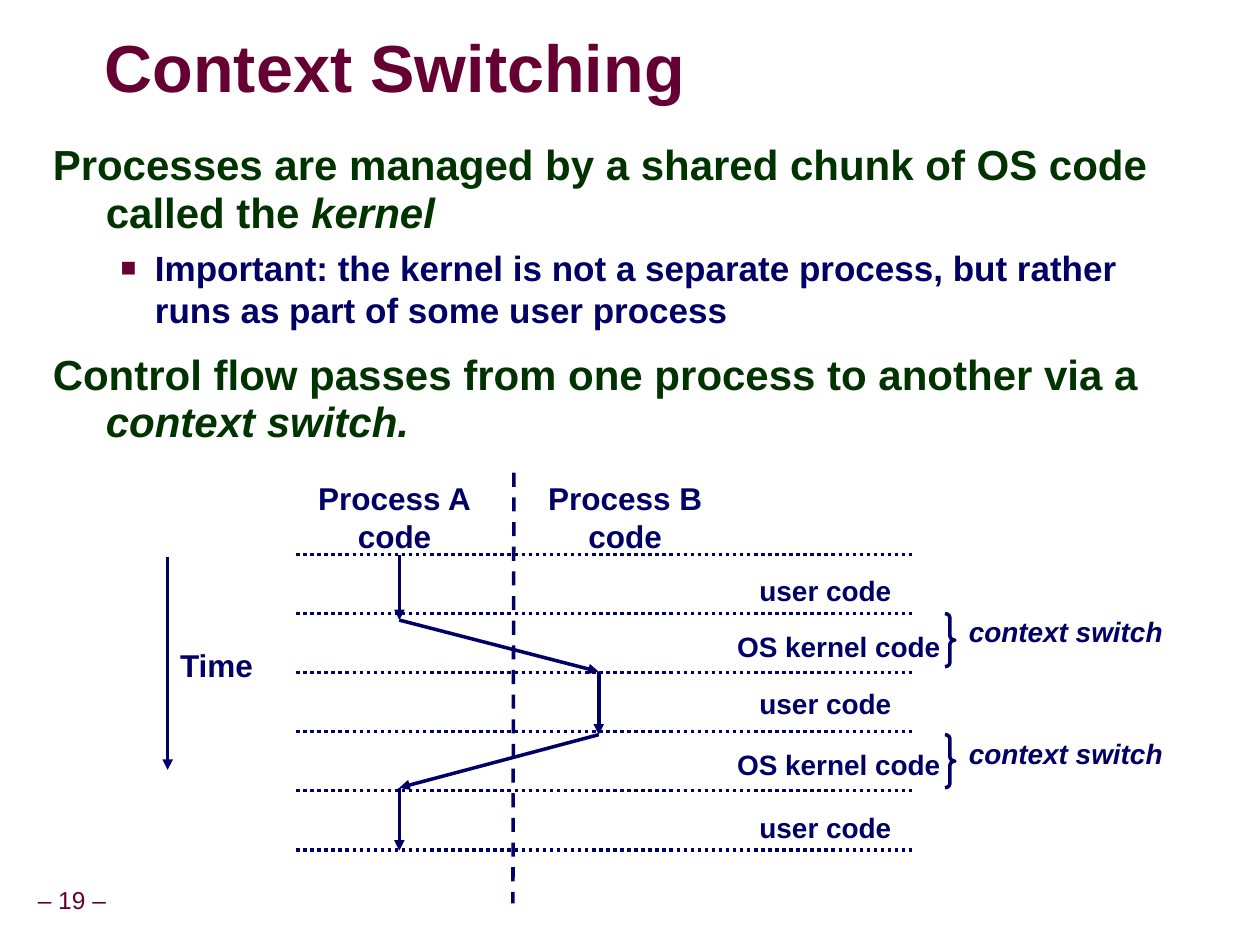
from dataclasses import dataclass
from itertools import pairwise
from lxml import etree
from pptx import Presentation
from pptx import util as u
from pptx.dml.color import RGBColor
from pptx.enum import dml, shapes, text
from pptx.oxml import ns


@dataclass(frozen=True)
class Theme:
    font: str = "Arial"
    maroon: str = "660033"
    green: str = "003300"
    navy: str = "000066"
    shadow: str = "C0C0C0"
    title: int = 38
    body: int = 24
    sub: int = 20
    head: int = 18
    label: int = 16
    page: int = 14
    line: int = 2


T = Theme()
LEFT, CENTER = text.PP_ALIGN.LEFT, text.PP_ALIGN.CENTER

TITLE = "Context Switching"
BODY = [
    (0, [("Processes are managed by a shared chunk of OS code called the ", False), ("kernel", True)]),
    (1, [("Important: the kernel is not a separate process, but rather "
          "runs as part of some user process", False)]),
    (0, [("Control flow passes from one process to another via a ", False), ("context switch.", True)]),
]
LEVELS = [
    dict(size=T.body, color=T.green, margin=1.07, indent=-1.07, before=12, spacing=0.95, bullet=None),
    dict(size=T.sub, color=T.navy, margin=2.06, indent=-0.69, before=5, spacing=1.0, bullet="■"),
]
PROCESSES = [("Process A", 6.15), ("Process B", 10.8)]
USER, KERNEL = ("user code", 15.06, 3.18), ("OS kernel code", 14.61, 4.67)
PHASES = [(USER, 11.43), (KERNEL, 12.57), (USER, 13.72), (KERNEL, 14.94), (USER, 16.21)]
SWITCHES = [(12.37, 12.27), (14.81, 14.73)]
A, B = 8.05, 12.07
FLOW = [(A, 11.18), (A, 12.5), (B, 13.54), (B, 14.81), (A, 15.88), (A, 17.15)]
GRID_TOP, GRID_STEP, GRID_LINES = 11.18, 1.19, 6
GRID_LEFT, GRID_RIGHT = 5.97, 18.44


def cm(*values):
    return [u.Cm(v) for v in values]


def add_xml(parent, tag, **attrs):
    return etree.SubElement(parent, ns.qn(tag), {k: str(v) for k, v in attrs.items()})


def add_run(p, words, size, color, **formats):
    r = p.add_run()
    r.text = words
    for name, value in {"name": T.font, "size": u.Pt(size), "bold": True, **formats}.items():
        setattr(r.font, name, value)
    r.font.color.rgb = RGBColor.from_string(color)
    return r


def add_label(s, lines, box, size, color=T.navy, align=LEFT, **formats):
    tf = s.shapes.add_textbox(*cm(*box)).text_frame
    tf.word_wrap = False
    tf.auto_size = text.MSO_AUTO_SIZE.SHAPE_TO_FIT_TEXT
    for i, words in enumerate(lines):
        p = tf.add_paragraph() if i else tf.paragraphs[0]
        p.alignment = align
        add_run(p, words, size, color, **formats)
    return tf


def set_line(sp):
    sp.line.color.rgb = RGBColor.from_string(T.navy)
    sp.line.width = u.Pt(T.line)


def add_line(s, start, end, dash=None, arrow=False):
    sp = s.shapes.add_connector(shapes.MSO_CONNECTOR.STRAIGHT, *cm(*start, *end))
    set_line(sp)
    if dash:
        sp.line.dash_style = dash
    if arrow:
        add_xml(sp.line._get_or_add_ln(), "a:tailEnd", type="triangle")
    add_xml(sp._element.spPr, "a:effectLst")


def place(sp, box):
    for name, value in zip(("left", "top", "width", "height"), cm(*box)):
        setattr(sp, name, value)


def add_title(s):
    sp = s.shapes.title
    place(sp, (2.11, 0.64, 16.23, 1.6))
    tf = sp.text_frame
    for name in ("margin_left", "margin_top", "margin_right", "margin_bottom"):
        setattr(tf, name, 0)
    tf.vertical_anchor = text.MSO_ANCHOR.MIDDLE
    tf.auto_size = text.MSO_AUTO_SIZE.NONE
    p = tf.paragraphs[0]
    p.alignment, p.line_spacing = LEFT, 0.87
    r = add_run(p, TITLE, T.title, T.maroon)
    effects = etree.Element(ns.qn("a:effectLst"))
    shadow = add_xml(effects, "a:outerShdw", blurRad=38100, dist=38100, dir=2700000, algn="tl")
    add_xml(shadow, "a:srgbClr", val=T.shadow)
    r.font._element.find(ns.qn("a:solidFill")).addnext(effects)


def add_body(s):
    sp = s.placeholders[1]
    place(sp, (0.81, 2.74, 23.04, 7.09))
    tf = sp.text_frame
    tf.auto_size = text.MSO_AUTO_SIZE.NONE
    for i, (level, runs) in enumerate(BODY):
        fmt = LEVELS[level]
        p = tf.add_paragraph() if i else tf.paragraphs[0]
        p.level, p.line_spacing, p.space_before = level, fmt["spacing"], u.Pt(fmt["before"])
        pPr = p._p.get_or_add_pPr()
        pPr.set("marL", str(u.Cm(fmt["margin"])))
        pPr.set("indent", str(u.Cm(fmt["indent"])))
        if fmt["bullet"]:
            add_xml(add_xml(pPr, "a:buClr"), "a:srgbClr", val=T.maroon)
            add_xml(pPr, "a:buSzPct", val=75000)
            add_xml(pPr, "a:buFont", typeface=T.font)
            add_xml(pPr, "a:buChar", char=fmt["bullet"])
        else:
            add_xml(pPr, "a:buNone")
        for words, italic in runs:
            add_run(p, words, fmt["size"], fmt["color"], italic=italic)


def add_diagram(s):
    for name, left in PROCESSES:
        add_label(s, [name, "code"], (left, 9.53, 3.61, 1.78), T.head, align=CENTER)
    for start, end in pairwise(FLOW):
        add_line(s, start, end, arrow=True)
    add_line(s, (10.36, 9.53), (10.34, 18.21), dml.MSO_LINE.DASH)
    for (words, left, width), top in PHASES:
        add_label(s, [words], (left, top, width, 0.94), T.label)
    for i in range(GRID_LINES):
        y = GRID_TOP + i * GRID_STEP
        add_line(s, (GRID_LEFT, y), (GRID_RIGHT, y), dml.MSO_LINE.ROUND_DOT)
    add_line(s, (3.38, 11.23), (3.38, 15.52), arrow=True)
    add_label(s, ["Time"], (3.38, 12.9, 1.98, 1.02), T.head)
    for brace_top, label_top in SWITCHES:
        sp = s.shapes.add_shape(shapes.MSO_SHAPE.RIGHT_BRACE, *cm(19.05, brace_top, 0.2, 1.07))
        sp.adjustments[0] = 0.42
        sp.shadow.inherit = False
        sp.fill.background()
        set_line(sp)
        add_label(s, ["context switch"], (19.28, label_top, 4.45, 0.94), T.label, italic=True)


def add_page_number(s):
    tf = add_label(s, ["– 19 –"], (0.61, 17.78, 1.68, 0.79), T.page, T.maroon, CENTER, bold=False)
    for name in ("margin_left", "margin_top", "margin_right", "margin_bottom"):
        setattr(tf, name, u.Cm(0.13))
    tf.vertical_anchor = text.MSO_ANCHOR.MIDDLE
    tf.paragraphs[0].line_spacing = 0.9


prs = Presentation()
prs.slide_width, prs.slide_height = cm(25.4, 19.05)
s = prs.slides.add_slide(prs.slide_layouts[1])
add_page_number(s)
add_title(s)
add_body(s)
add_diagram(s)
prs.save("out.pptx")
